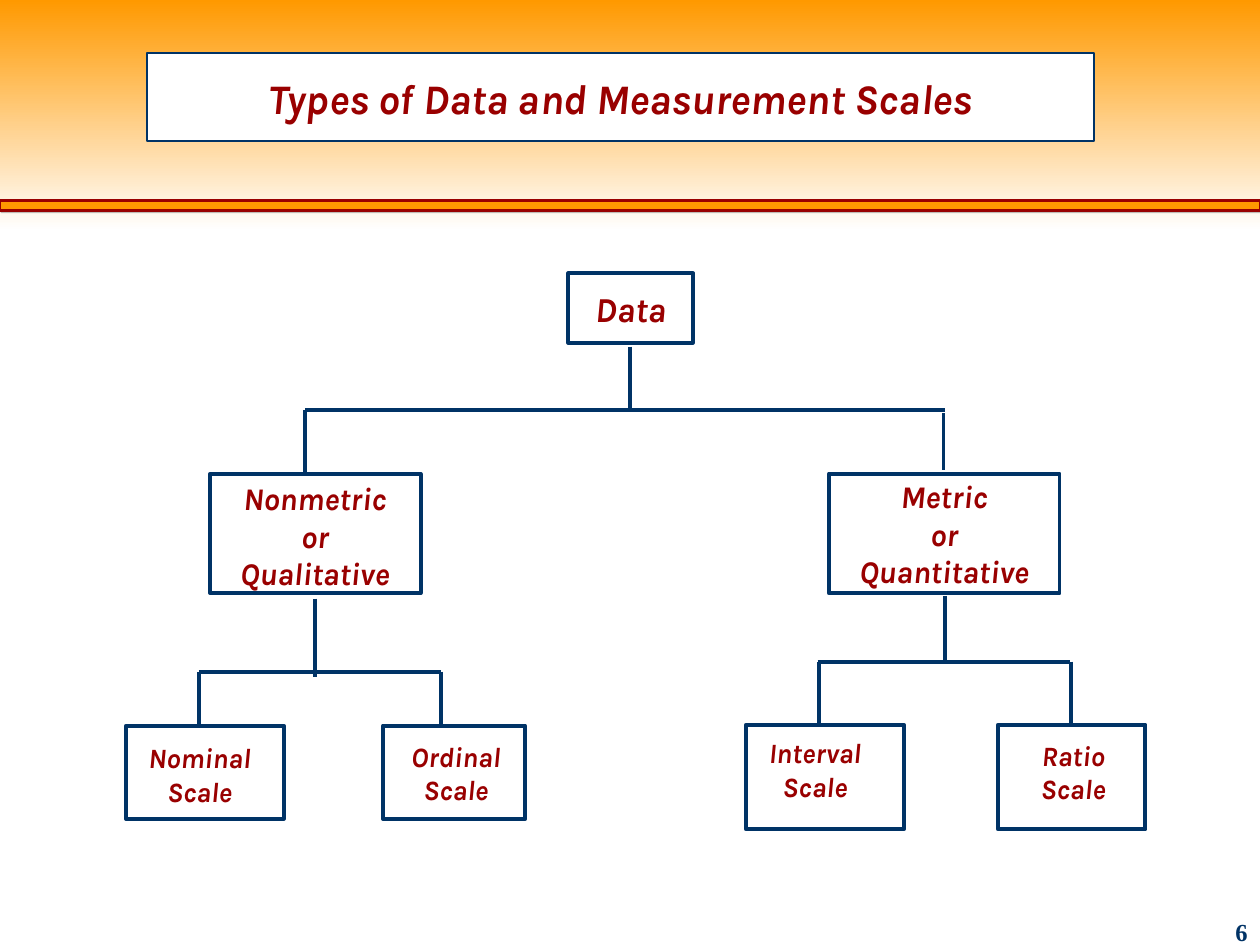
"""Build a slide with a tree of data types and measurement scales."""
from lxml.etree import SubElement
from pptx import Presentation
from pptx.dml.color import RGBColor
from pptx.enum.shapes import MSO_CONNECTOR, MSO_SHAPE
from pptx.enum.text import MSO_ANCHOR, PP_ALIGN
from pptx.oxml.ns import qn
from pptx.util import Cm, Pt

NAVY, RED, ORANGE, WHITE = "003366", "990000", "FF9900", "FFFFFF"


def color(value):
    return RGBColor.from_string(value)


def write(shape, lines, size, anchor, wrap=True):
    frame = shape.text_frame
    frame.text = "\n".join(lines)
    frame.word_wrap = wrap
    frame.vertical_anchor = anchor
    for paragraph in frame.paragraphs:
        paragraph.alignment = PP_ALIGN.CENTER
        paragraph.font.name = "Karla"
        paragraph.font.size = Pt(size)
        paragraph.font.bold = paragraph.font.italic = True
        paragraph.font.color.rgb = color(RED)


deck = Presentation()
deck.slide_width, deck.slide_height = Cm(25.4), Cm(19.05)
page = deck.slides.add_slide(deck.slide_layouts[5])
shapes = page.shapes

header = shapes.add_shape(MSO_SHAPE.RECTANGLE, 0, 0, deck.slide_width, Cm(4.65))
header.shadow.inherit = False
header.line.fill.background()
header.fill.gradient()
header.fill.gradient_angle = 270
for stop, position, shade in zip(header.fill.gradient_stops, (0, 1), (ORANGE, WHITE)):
    stop.position = position
    stop.color.rgb = color(shade)

rule = shapes.add_shape(MSO_SHAPE.RECTANGLE, 0, Cm(4.04), deck.slide_width, Cm(0.2))
rule.shadow.inherit = False
rule.fill.solid()
rule.fill.fore_color.rgb = color(ORANGE)
rule.line.color.rgb = color(RED)
rule.line.width = Pt(1.5)
effects = rule.element.spPr.find(qn("a:effectLst"))
shadow = SubElement(effects, qn("a:outerShdw"), dist=str(Pt(1.4)), dir="2700000")
shade = SubElement(shadow, qn("a:srgbClr"), val="808080")
SubElement(shade, qn("a:alpha"), val="50000")

title = shapes.title
title.left, title.top, title.width, title.height = Cm(2.97), Cm(1.07), Cm(19.08), Cm(1.78)
title.fill.solid()
title.fill.fore_color.rgb = color(WHITE)
title.line.color.rgb = color(NAVY)
title.line.width = Pt(1)
write(title, ["Types of Data and Measurement Scales"], 24, MSO_ANCHOR.MIDDLE)
title.element.getparent().append(title.element)

boxes = [
    (11.46, 5.51, 2.51, 1.4, ["Data"], 20),
    (16.71, 9.55, 4.65, 2.41, ["Metric", "or", "Quantitative"], 18),
    (4.24, 9.55, 4.24, 2.41, [], 18),
    (2.54, 14.63, 3.18, 1.88, [], 16),
    (7.72, 14.63, 2.87, 1.88, [], 16),
    (15.04, 14.61, 3.18, 2.11, [], 16),
    (20.12, 14.61, 2.97, 2.11, [], 16),
]
for left, top, width, height, lines, size in boxes:
    box = shapes.add_shape(MSO_SHAPE.RECTANGLE, Cm(left), Cm(top), Cm(width), Cm(height))
    box.shadow.inherit = False
    box.fill.background()
    box.line.color.rgb = color(NAVY)
    box.line.width = Pt(2.25)
    if lines:
        write(box, lines, size, MSO_ANCHOR.MIDDLE, wrap=False)

branches = [
    (12.7, 6.99, 12.7, 8.26),
    (6.15, 8.26, 19.05, 8.26),
    (6.15, 8.26, 6.15, 9.53),
    (19.02, 8.33, 19.02, 9.47),
    (6.35, 12.07, 6.35, 13.64),
    (19.05, 12.01, 19.05, 13.34),
    (4.01, 13.54, 8.89, 13.54),
    (16.48, 13.34, 21.56, 13.34),
    (21.59, 13.34, 21.59, 14.61),
    (16.51, 13.34, 16.51, 14.61),
    (8.89, 13.54, 8.89, 14.61),
    (4.01, 13.54, 4.01, 14.61),
]
for ends in branches:
    branch = shapes.add_connector(MSO_CONNECTOR.STRAIGHT, *map(Cm, ends))
    branch.line.color.rgb = color(NAVY)
    branch.line.width = Pt(2.25)
    SubElement(branch.element.spPr, qn("a:effectLst"))

labels = [
    (3.81, 9.53, 5.08, 2.54, ["Nonmetric", "or", "Qualitative"], 18, True),
    (2.54, 14.81, 2.97, 1.6, ["Nominal", "Scale"], 16, True),
    (7.82, 14.78, 2.74, 1.6, ["Ordinal", "Scale"], 16, True),
    (15.11, 14.71, 2.64, 1.6, ["Interval", "Scale"], 16, False),
    (20.68, 14.76, 1.91, 1.6, ["Ratio", "Scale"], 16, False),
]
for left, top, width, height, lines, size, wrap in labels:
    label = shapes.add_textbox(Cm(left), Cm(top), Cm(width), Cm(height))
    write(label, lines, size, MSO_ANCHOR.TOP, wrap)

number = shapes.add_textbox(Cm(23.5), Cm(18.36), Cm(1.9), Cm(0.69))
number.text_frame.word_wrap = True
paragraph = number.text_frame.paragraphs[0]
paragraph.text = "6"
paragraph.alignment = PP_ALIGN.RIGHT
paragraph.font.name = "Times New Roman"
paragraph.font.size = Pt(14)
paragraph.font.bold = True
paragraph.font.color.rgb = color(NAVY)

deck.save("out.pptx")
